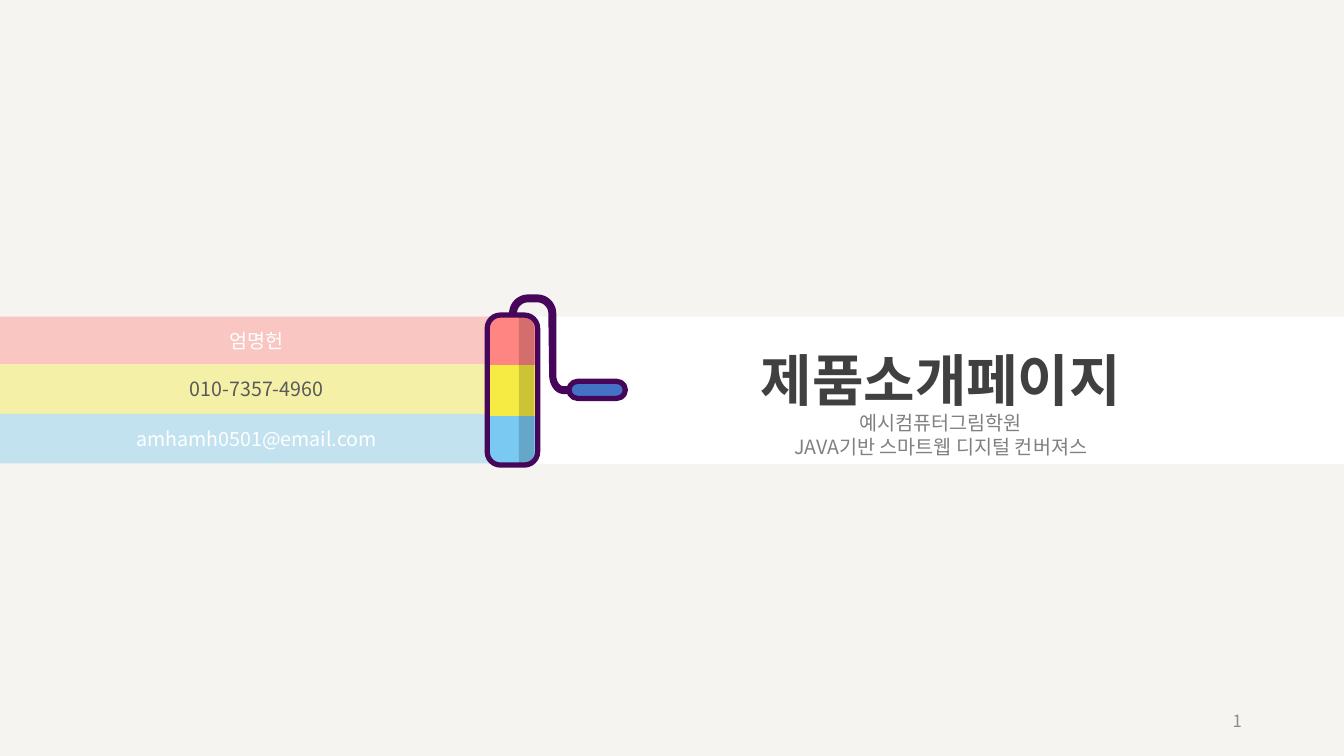
from dataclasses import dataclass
from math import cos, radians, sin

from lxml.etree import SubElement
from pptx import Presentation
from pptx.dml.color import RGBColor
from pptx.enum.shapes import MSO_SHAPE
from pptx.enum.text import MSO_ANCHOR, MSO_AUTO_SIZE, PP_ALIGN
from pptx.oxml.ns import qn
from pptx.util import Cm, Pt


@dataclass(frozen=True)
class Theme:
    font: str = "Noto Sans CJK KR"
    background: str = "F5F4F0"
    white: str = "FFFFFF"
    red: str = "FF8582"
    yellow: str = "F6EB43"
    blue: str = "7AC9F2"
    purple: str = "46075A"
    grip: str = "4472C4"
    shade: str = "000000"
    title_ink: str = "404040"
    dark_ink: str = "595959"
    grey_ink: str = "808080"
    number_ink: str = "8C8C8C"
    title_size: int = 40
    body_size: int = 14
    number_size: int = 12


theme = Theme()


def write_text(shape, text, size, color, bold=False, align=PP_ALIGN.CENTER,
               anchor=MSO_ANCHOR.MIDDLE, line_spacing=1.0):
    frame = shape.text_frame
    frame.text = text
    frame.word_wrap = True
    frame.auto_size = MSO_AUTO_SIZE.NONE
    frame.vertical_anchor = anchor
    frame.margin_top = frame.margin_bottom = Cm(0.13)
    for paragraph in frame.paragraphs:
        paragraph.alignment = align
        paragraph.line_spacing = line_spacing
        paragraph.space_before = Pt(0)
        for run in paragraph.runs:
            run.font.name = theme.font
            run.font.size = Pt(size)
            run.font.bold = bold
            run.font.color.rgb = RGBColor.from_string(color)
            SubElement(run.font._element, qn("a:ea"), typeface=theme.font)


def arc_points(center_x, center_y, radius_x, radius_y, start, end, steps=12):
    angles = [radians(start + (end - start) * step / steps) for step in range(steps + 1)]
    return [(center_x + radius_x * cos(angle), center_y + radius_y * sin(angle))
            for angle in angles]


presentation = Presentation()
presentation.slide_width = Cm(33.87)
presentation.slide_height = Cm(19.05)
slide = presentation.slides.add_slide(presentation.slide_layouts[0])
slide.background.fill.solid()
slide.background.fill.fore_color.rgb = RGBColor.from_string(theme.background)
shapes = slide.shapes

# White title bar
band_top = 7.98
title_bar = shapes.add_shape(MSO_SHAPE.RECTANGLE, Cm(13), Cm(band_top), Cm(20.87), Cm(3.71))
painted = [(title_bar, theme.white, 100, False)]

# Contact bands
contacts = [
    ("엄명헌", theme.red, theme.white, 1.2),
    ("010-7357-4960", theme.yellow, theme.dark_ink, 1.25),
    ("amhamh0501@email.com", theme.blue, theme.white, 1.25),
]
for text, fill, ink, height in contacts:
    band = shapes.add_shape(MSO_SHAPE.RECTANGLE, 0, Cm(band_top), Cm(12.94), Cm(height))
    write_text(band, text, theme.body_size, ink)
    painted.append((band, fill, 41, False))
    band_top += height

# Outlines of the bent rod and of the shaded side of the roller
rod_edges = []
for bend, (elbow_x, elbow_y) in [(0.48, (0.18, 0.28)), (0.28, (0.36, 0.48))]:
    rod_edges.append(
        [(13.31 - bend, 11.48)]
        + arc_points(13.31, 7.9, bend, bend, 180, 270)
        + arc_points(13.54, 7.9, bend, bend, 270, 360)
        + arc_points(14.2, 9.45, elbow_x, elbow_y, 180, 90)
        + [(14.48, 9.45 + elbow_y)])
rod_outline = rod_edges[0] + rod_edges[1][::-1]
shade_outline = (
    [(13.08, 7.98)]
    + arc_points(13.18, 8.28, 0.28, 0.3, 270, 360)
    + arc_points(13.18, 11.38, 0.28, 0.3, 0, 90)
    + [(13.08, 11.68)])
rod, shade = [], []
for outline, target in [(rod_outline, rod), (shade_outline, shade)]:
    points = [(Cm(x), Cm(y)) for x, y in outline]
    builder = shapes.build_freeform(*points[0])
    builder.add_line_segments(points[1:], close=True)
    target.append(builder.convert_to_shape())

# Roller and grip
roller = shapes.add_shape(MSO_SHAPE.ROUNDED_RECTANGLE, Cm(12.28), Cm(7.94), Cm(1.27), Cm(3.78))
roller.adjustments[0] = 0.262
grip = shapes.add_shape(MSO_SHAPE.ROUNDED_RECTANGLE, Cm(14.34), Cm(9.61), Cm(1.42), Cm(0.43))
grip.adjustments[0] = 0.5
shapes._spTree.append(shade[0]._element)
painted += [
    (rod[0], theme.purple, 100, False),
    (roller, theme.yellow, 100, True),
    (grip, theme.grip, 100, True),
    (shade[0], theme.shade, 17, False),
]

# Fills and lines
for shape, color, opacity, outlined in painted:
    shape.shadow.inherit = False
    shape.fill.solid()
    shape.fill.fore_color.rgb = RGBColor.from_string(color)
    if opacity < 100:
        color_element = shape._element.spPr.find(qn("a:solidFill"))[0]
        SubElement(color_element, qn("a:alpha"), val=str(opacity * 1000))
    if outlined:
        shape.line.color.rgb = RGBColor.from_string(theme.purple)
        shape.line.width = Pt(3.75)
    else:
        shape.line.fill.background()

# Three hard colour steps down the roller
roller.fill.gradient()
roller.fill.gradient_angle = 270
stop_list = roller._element.spPr.find(qn("a:gradFill")).find(qn("a:gsLst"))
for stop in list(stop_list):
    stop_list.remove(stop)
for position, color in [(33, theme.red), (33, theme.yellow), (67, theme.yellow), (67, theme.blue)]:
    stop = SubElement(stop_list, qn("a:gs"), pos=str(position * 1000))
    SubElement(stop, qn("a:srgbClr"), val=color)

# Title and subtitle, in front of the bar
title, subtitle = shapes.title, slide.placeholders[1]
for placeholder, top, height in [(title, 7.72, 2.77), (subtitle, 10.23, 1.5)]:
    placeholder.left, placeholder.width = Cm(17.4), Cm(12.62)
    placeholder.top, placeholder.height = Cm(top), Cm(height)
    shapes._spTree.append(placeholder._element)
write_text(title, "제품소개페이지", theme.title_size, theme.title_ink, bold=True,
           anchor=MSO_ANCHOR.TOP, line_spacing=1.5)
write_text(subtitle, "예시컴퓨터그림학원\nJAVA기반 스마트웹 디지털 컨버져스",
           theme.body_size, theme.grey_ink, anchor=MSO_ANCHOR.TOP)

# Page number
page_number = shapes.add_textbox(Cm(23.93), Cm(17.65), Cm(7.62), Cm(1.02))
write_text(page_number, "1", theme.number_size, theme.number_ink, align=PP_ALIGN.RIGHT)

presentation.save("out.pptx")
